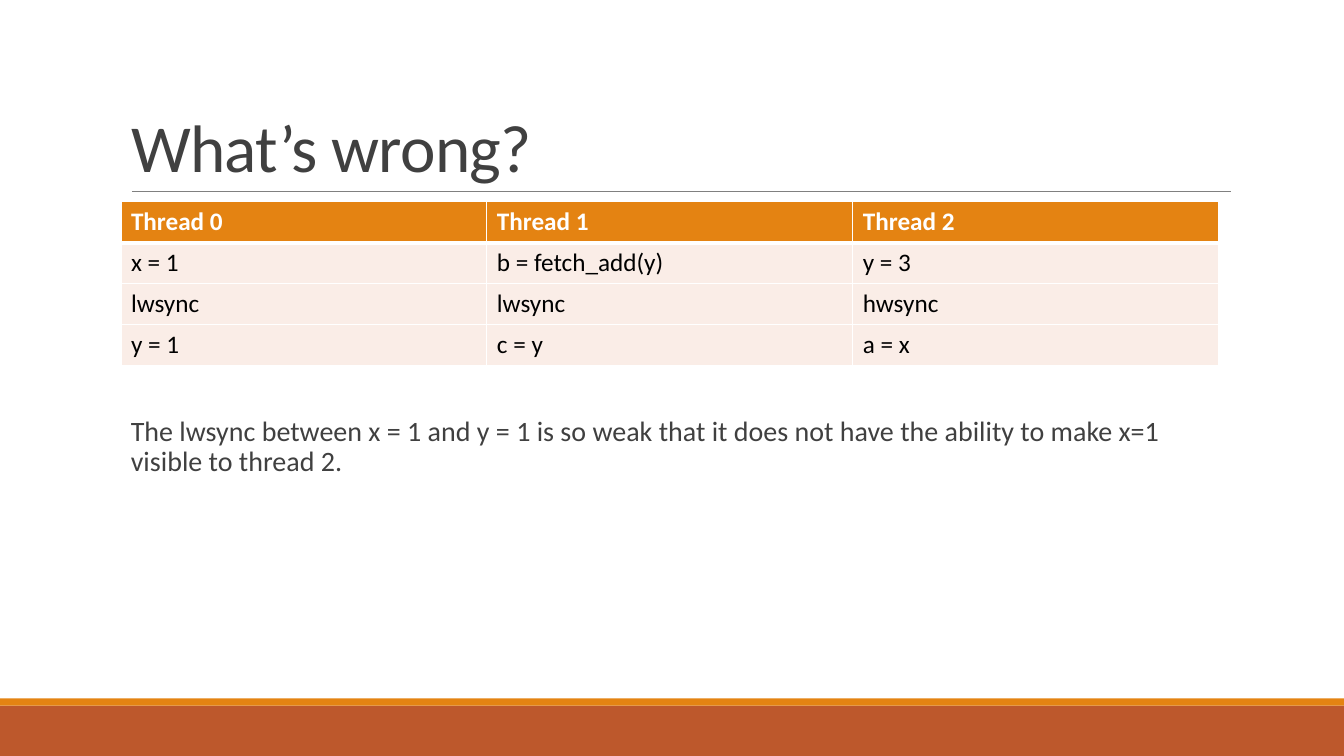
from dataclasses import dataclass

import pptx
import pptx.dml.color
import pptx.enum.shapes
import pptx.enum.text
import pptx.oxml
import pptx.oxml.ns
import pptx.oxml.xmlchemy
import pptx.slide
import pptx.table
import pptx.text.text
import pptx.util
from lxml import etree

Pt = pptx.util.Pt
FONT = "Calibri"
COLORS = {
    "rust": "BD582C",
    "orange": "E48312",
    "blush": "FAEDE7",
    "rule": "808080",
    "text": "404040",
    "white": "FFFFFF",
    "black": "000000",
}
LEFT = 86.4
THREADS = [
    ["Thread 0", "Thread 1", "Thread 2"],
    ["x = 1", "b = fetch_add(y)", "y = 3"],
    ["lwsync", "lwsync", "hwsync"],
    ["y = 1", "c = y", "a = x"],
]


@dataclass(frozen=True)
class Band:
    top: float
    height: float
    color: str


@dataclass(frozen=True)
class CellStyle:
    fill: str
    color: str
    bold: bool
    top_border: float
    bottom_border: float


FOOTER_BANDS = [Band(504, 36, "rust"), Band(498.96, 5.04, "orange")]
HEADER = CellStyle("orange", "white", True, 1, 3)
FIRST_ROW = CellStyle("blush", "black", False, 3, 1)
BODY_ROW = CellStyle("blush", "black", False, 1, 1)


def rgb(name: str) -> pptx.dml.color.RGBColor:
    return pptx.dml.color.RGBColor.from_string(COLORS[name])


def set_font(
    paragraph: pptx.text.text._Paragraph, size: float, color: str, bold: bool = False
) -> None:
    paragraph.font.name = FONT
    paragraph.font.size = Pt(size)
    paragraph.font.bold = bold
    paragraph.font.color.rgb = rgb(color)


def draw_band(slide: pptx.slide.Slide, band: Band, width: float) -> None:
    strip = slide.shapes.add_shape(
        pptx.enum.shapes.MSO_SHAPE.RECTANGLE, 0, Pt(band.top), Pt(width), Pt(band.height)
    )
    strip.shadow.inherit = False
    strip.fill.solid()
    strip.fill.fore_color.rgb = rgb(band.color)
    strip.line.fill.background()


def draw_rule(slide: pptx.slide.Slide) -> None:
    rule = slide.shapes.add_connector(
        pptx.enum.shapes.MSO_CONNECTOR.STRAIGHT, Pt(94.2), Pt(136.8), Pt(879), Pt(136.8)
    )
    rule.line.color.rgb = rgb("rule")
    rule.line.width = Pt(0.5)
    etree.SubElement(rule._element.spPr, pptx.oxml.ns.qn("a:effectLst"))


def write_title(slide: pptx.slide.Slide) -> None:
    title = slide.shapes.title
    title.left, title.top, title.width, title.height = Pt(LEFT), Pt(22.3), Pt(792), Pt(114.5)
    frame = title.text_frame
    frame.text = "What’s wrong?"
    frame.auto_size = pptx.enum.text.MSO_AUTO_SIZE.NONE
    frame.vertical_anchor = pptx.enum.text.MSO_ANCHOR.BOTTOM
    heading = frame.paragraphs[0]
    heading.alignment = pptx.enum.text.PP_ALIGN.LEFT
    heading.line_spacing = 0.85
    set_font(heading, 48, "text")
    heading.runs[0]._r.get_or_add_rPr().set("spc", "-50")


def write_explanation(slide: pptx.slide.Slide) -> None:
    explanation = slide.shapes.add_textbox(Pt(LEFT), Pt(294.5), Pt(792), Pt(167.8))
    frame = explanation.text_frame
    frame.word_wrap = True
    frame.margin_left, frame.margin_right = Pt(7.2), 0
    frame.text = (
        "The lwsync between x = 1 and y = 1 is so weak that it does not have "
        "the ability to make x=1 visible to thread 2."
    )
    sentence = frame.paragraphs[0]
    sentence.line_spacing = 0.9
    set_font(sentence, 20, "text")


def add_border(cell: pptx.table._Cell, side: str, width: float) -> None:
    properties = cell._tc.get_or_add_tcPr()
    border = etree.SubElement(
        properties, pptx.oxml.ns.qn(f"a:ln{side}"), w=str(int(Pt(width)))
    )
    fill = etree.SubElement(border, pptx.oxml.ns.qn("a:solidFill"))
    etree.SubElement(fill, pptx.oxml.ns.qn("a:srgbClr"), val=COLORS["white"])


def style_cell(cell: pptx.table._Cell, text: str, style: CellStyle) -> None:
    cell.text = text
    set_font(cell.text_frame.paragraphs[0], 18, style.color, style.bold)
    widths = {"L": 1, "R": 1, "T": style.top_border, "B": style.bottom_border}
    for side, width in widths.items():
        add_border(cell, side, width)
    cell.fill.solid()
    cell.fill.fore_color.rgb = rgb(style.fill)


def draw_threads(slide: pptx.slide.Slide) -> None:
    threads = slide.shapes.add_table(
        len(THREADS), len(THREADS[0]), Pt(LEFT), Pt(144.2), Pt(784.2), Pt(116.8)
    ).table
    threads.horz_banding = False
    styles = [HEADER, FIRST_ROW, BODY_ROW, BODY_ROW]
    for row, (steps, style) in enumerate(zip(THREADS, styles)):
        for column, step in enumerate(steps):
            style_cell(threads.cell(row, column), step, style)


def main() -> None:
    deck = pptx.Presentation()
    deck.slide_width, deck.slide_height = Pt(960), Pt(540)
    slide = deck.slides.add_slide(deck.slide_layouts.get_by_name("Title Only"))
    for band in FOOTER_BANDS:
        draw_band(slide, band, 960)
    draw_rule(slide)
    write_title(slide)
    write_explanation(slide)
    draw_threads(slide)
    deck.save("out.pptx")


if __name__ == "__main__":
    main()
